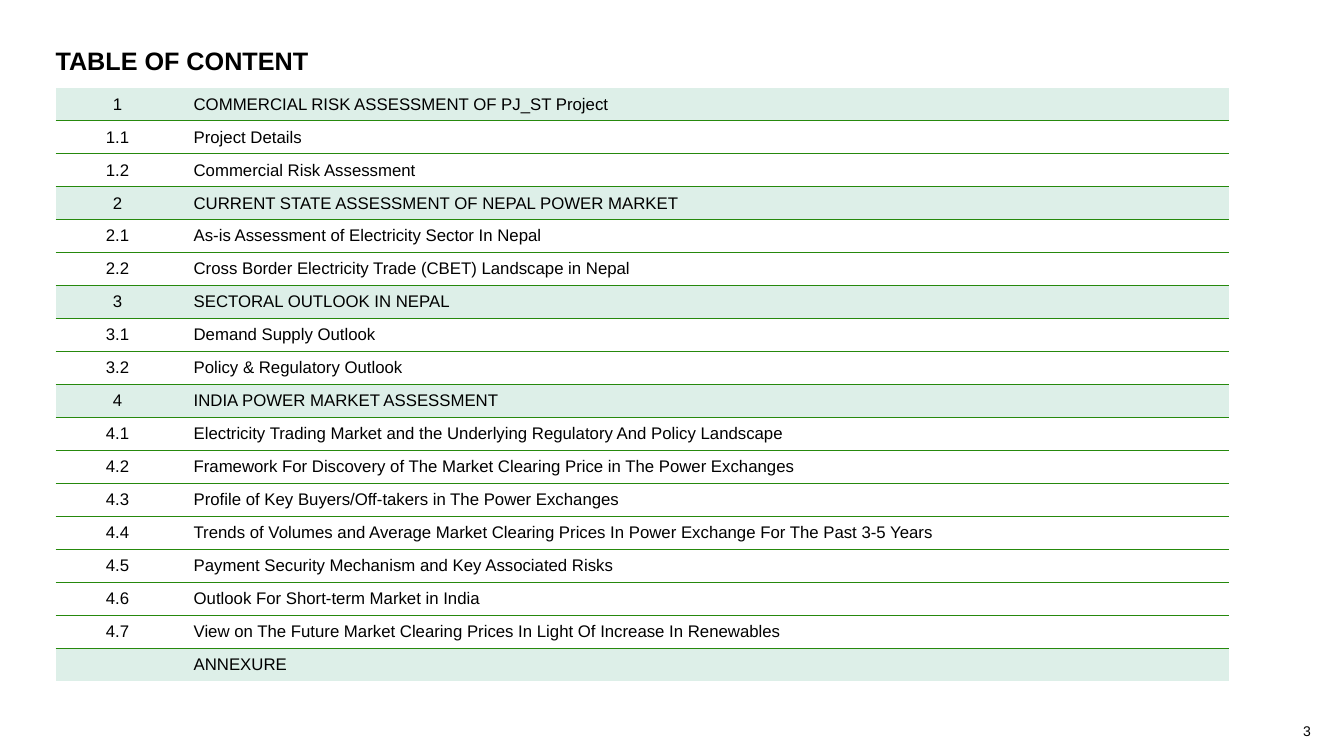
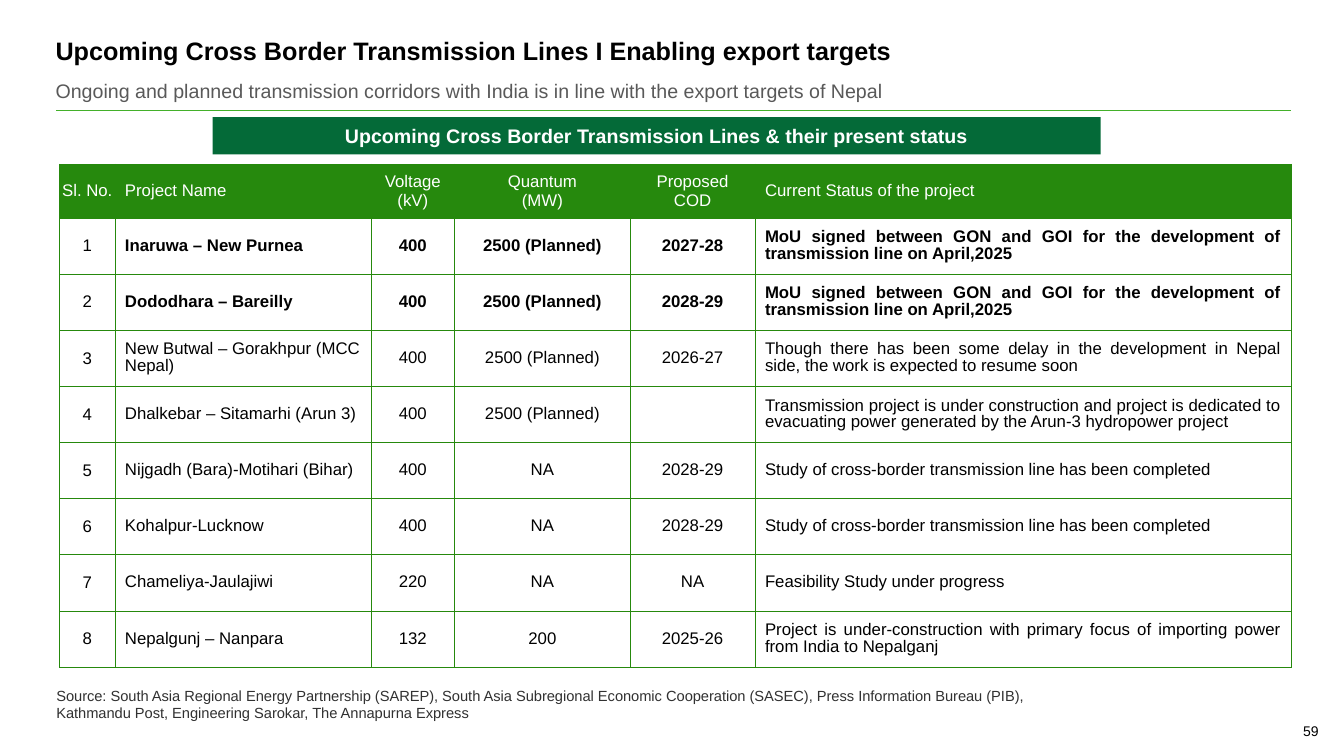
from dataclasses import dataclass

from lxml import etree
from pptx import Presentation
from pptx import util as u
from pptx.dml import color
from pptx.enum import shapes, text
from pptx.oxml import ns

Cm, Pt = u.Cm, u.Pt
FONT = "Arial"
INK = {
    "black": "000000",
    "white": "FFFFFF",
    "grey": "595959",
    "dark": "313131",
    "mint": "DDEFE8",
    "green": "26890D",
    "deep": "046A38",
    "rule": "43B02A",
}
LEFT, MID, JUST = text.PP_ALIGN.LEFT, text.PP_ALIGN.CENTER, text.PP_ALIGN.JUSTIFY


@dataclass(frozen=True)
class Style:
    size: float = 12
    ink: str = "black"
    bold: bool = False
    align: text.PP_ALIGN = LEFT
    lead: float = 1.0


@dataclass(frozen=True)
class Box:
    x: float
    y: float
    w: float
    h: float

    def cm(self) -> tuple:
        return Cm(self.x), Cm(self.y), Cm(self.w), Cm(self.h)


@dataclass(frozen=True)
class Col:
    width: float
    align: text.PP_ALIGN
    pad: float
    head: str = ""


@dataclass(frozen=True)
class Line:
    name: str
    volt: str
    load: str
    date: str
    state: str
    bold: bool = False


HEAD = Style(18, bold=True)
SUB = Style(14, "grey")
BAND = Style(14, "white", True, MID)
NOTE = Style(10.5, "dark")
PAGE = Style(10)

TOPICS = [
    ("1", "COMMERCIAL RISK ASSESSMENT OF PJ_ST Project"),
    ("1.1", "Project Details"),
    ("1.2", "Commercial Risk Assessment"),
    ("2", "CURRENT STATE ASSESSMENT OF NEPAL POWER MARKET"),
    ("2.1", "As-is Assessment of Electricity Sector In Nepal"),
    ("2.2", "Cross Border Electricity Trade (CBET) Landscape in Nepal"),
    ("3", "SECTORAL OUTLOOK IN NEPAL"),
    ("3.1", "Demand Supply Outlook"),
    ("3.2", "Policy & Regulatory Outlook"),
    ("4", "INDIA POWER MARKET ASSESSMENT"),
    ("4.1", "Electricity Trading Market and the Underlying Regulatory And Policy Landscape"),
    ("4.2", "Framework For Discovery of The Market Clearing Price in The Power Exchanges"),
    ("4.3", "Profile of Key Buyers/Off-takers in The Power Exchanges"),
    ("4.4", "Trends of Volumes and Average Market Clearing Prices In Power Exchange For The Past 3-5 Years"),
    ("4.5", "Payment Security Mechanism and Key Associated Risks"),
    ("4.6", "Outlook For Short-term Market in India"),
    ("4.7", "View on The Future Market Clearing Prices In Light Of Increase In Renewables"),
    ("", "ANNEXURE"),
]
INDEX = [Col(3.12, MID, 0.25), Col(26.44, LEFT, 0.36)]

SIGNED = "MoU signed between GON and GOI for the development of transmission line on April,2025"
STUDY = "Study of cross-border transmission line has been completed"
LINES = [
    Line("Inaruwa – New Purnea", "400", "2500 (Planned)", "2027-28", SIGNED, True),
    Line("Dododhara – Bareilly", "400", "2500 (Planned)", "2028-29", SIGNED, True),
    Line("New Butwal – Gorakhpur (MCC Nepal)", "400", "2500 (Planned)", "2026-27",
         "Though there has been some delay in the development in Nepal side, "
         "the work is expected to resume soon"),
    Line("Dhalkebar – Sitamarhi (Arun 3)", "400", "2500 (Planned)", "",
         "Transmission project is under construction and project is dedicated to "
         "evacuating power generated by the Arun-3 hydropower project"),
    Line("Nijgadh (Bara)-Motihari (Bihar)", "400", "NA", "2028-29", STUDY),
    Line("Kohalpur-Lucknow", "400", "NA", "2028-29", STUDY),
    Line("Chameliya-Jaulajiwi", "220", "NA", "NA", "Feasibility Study under progress"),
    Line("Nepalgunj – Nanpara", "132", "200", "2025-26",
         "Project is under-construction with primary focus of importing power "
         "from India to Nepalganj"),
]
GRID = [
    Col(1.4, MID, 0, "Sl. No."),
    Col(6.45, LEFT, 0.25, "Project Name"),
    Col(2.11, MID, 0.25, "Voltage\n(kV)"),
    Col(4.42, MID, 0.25, "Quantum\n(MW)"),
    Col(3.15, MID, 0.25, "Proposed\nCOD"),
    Col(13.51, JUST, 0.25, "Current Status of the project"),
]


def rgb(ink: str) -> color.RGBColor:
    return color.RGBColor.from_string(INK[ink])


def write(frame, words: str, style: Style, wrap: bool = True) -> None:
    frame.word_wrap = wrap
    for n, part in enumerate(words.split("\n")):
        para = frame.paragraphs[0] if n == 0 else frame.add_paragraph()
        para.alignment = style.align
        para.line_spacing = style.lead
        if part:
            run = para.add_run()
            run.text = part
            run.font.name = FONT
            run.font.size = Pt(style.size)
            run.font.bold = style.bold
            run.font.color.rgb = rgb(style.ink)


def trim(frame) -> None:
    frame.margin_left = frame.margin_right = 0
    frame.margin_top = frame.margin_bottom = 0


def label(slide, box: Box, words: str, style: Style, wrap: bool = True) -> None:
    frame = slide.shapes.add_textbox(*box.cm()).text_frame
    trim(frame)
    write(frame, words, style, wrap)


def start(deck, title: str, top: float, page: str):
    slide = deck.slides.add_slide(deck.slide_layouts[5])
    shape = slide.shapes.title
    shape.left, shape.top, shape.width, shape.height = Box(1.4, top, 31.09, 0.94).cm()
    trim(shape.text_frame)
    shape.text_frame.vertical_anchor = text.MSO_ANCHOR.TOP
    write(shape.text_frame, title, HEAD)
    label(slide, Box(32.84, 18.21, 0.43, 0.43), page, PAGE, False)
    return slide


def edge(cell, sides: str) -> None:
    props = cell._tc.get_or_add_tcPr()
    for n, side in enumerate("LRTB"):
        line = etree.Element(ns.qn("a:ln" + side), w=str(Pt(0.5)))
        if side in sides:
            fill = etree.SubElement(line, ns.qn("a:solidFill"))
            etree.SubElement(fill, ns.qn("a:srgbClr"), val=INK["green"])
        else:
            etree.SubElement(line, ns.qn("a:noFill"))
        props.insert(n, line)


def table(slide, box: Box, cols: list[Col], rows: int):
    grid = slide.shapes.add_table(rows, len(cols), *box.cm()).table
    grid.first_row = grid.horz_banding = False
    for col, spec in zip(grid.columns, cols):
        col.width = Cm(spec.width)
    return grid


def fill(cell, words: str, col: Col, style: Style, back: str, sides: str) -> None:
    cell.margin_left = cell.margin_right = Cm(col.pad)
    cell.margin_top = cell.margin_bottom = 0
    cell.vertical_anchor = text.MSO_ANCHOR.MIDDLE
    if back:
        cell.fill.solid()
        cell.fill.fore_color.rgb = rgb(back)
    else:
        cell.fill.background()
    edge(cell, sides)
    write(cell.text_frame, words, style)


def index(deck) -> None:
    slide = start(deck, "TABLE OF CONTENT", 1.14, "3")
    count = len(TOPICS)
    box = Box(1.4, 2.21, sum(c.width for c in INDEX), 14.97)
    grid = table(slide, box, INDEX, count)
    for r, topic in enumerate(TOPICS):
        grid.rows[r].height = Cm(box.h / count)
        back = "" if "." in topic[0] else "mint"
        sides = ("T" if r else "") + ("B" if r < count - 1 else "")
        for c, col in enumerate(INDEX):
            fill(grid.cell(r, c), topic[c], col, Style(align=col.align), back, sides)


def status(deck) -> None:
    slide = start(deck, "Upcoming Cross Border Transmission Lines I Enabling export targets", 0.89, "59")
    label(slide, Box(1.4, 1.98, 30.89, 0.94),
          "Ongoing and planned transmission corridors with India is in line with "
          "the export targets of Nepal", SUB)

    band = slide.shapes.add_shape(shapes.MSO_SHAPE.RECTANGLE, *Box(5.36, 2.95, 22.38, 0.94).cm())
    band.shadow.inherit = False
    band.fill.solid()
    band.fill.fore_color.rgb = rgb("deep")
    band.line.fill.background()
    trim(band.text_frame)
    band.text_frame.vertical_anchor = text.MSO_ANCHOR.MIDDLE
    write(band.text_frame, "Upcoming Cross Border Transmission Lines & their present status", BAND)

    top, high = 1.35, 12.67
    box = Box(1.5, 4.14, sum(c.width for c in GRID), high)
    grid = table(slide, box, GRID, len(LINES) + 1)
    grid.rows[0].height = Cm(top)
    for c, col in enumerate(GRID):
        align = MID if col.align == MID else LEFT
        fill(grid.cell(0, c), col.head, col, Style(ink="white", align=align), "green", "LRTB")
    for r, line in enumerate(LINES, 1):
        grid.rows[r].height = Cm((high - top) / len(LINES))
        words = (str(r), line.name, line.volt, line.load, line.date, line.state)
        for c, col in enumerate(GRID):
            style = Style(bold=line.bold and c > 0, align=col.align, lead=0.9 if c else 1.0)
            fill(grid.cell(r, c), words[c], col, style, "", "LRTB")

    label(slide, Box(1.42, 17.3, 26.01, 0.89),
          "Source: South Asia Regional Energy Partnership (SAREP), South Asia Subregional "
          "Economic Cooperation (SASEC), Press Information Bureau (PIB), Kathmandu Post, "
          "Engineering Sarokar, The Annapurna Express", NOTE)

    rule = slide.shapes.add_connector(shapes.MSO_CONNECTOR.STRAIGHT, Cm(1.42), Cm(2.79), Cm(32.54), Cm(2.79))
    rule.line.color.rgb = rgb("rule")
    rule.line.width = Pt(1)
    etree.SubElement(rule._element.spPr, ns.qn("a:effectLst"))


def main() -> None:
    deck = Presentation()
    deck.slide_width, deck.slide_height = Cm(33.87), Cm(19.05)
    index(deck)
    status(deck)
    deck.save("out.pptx")


if __name__ == "__main__":
    main()
